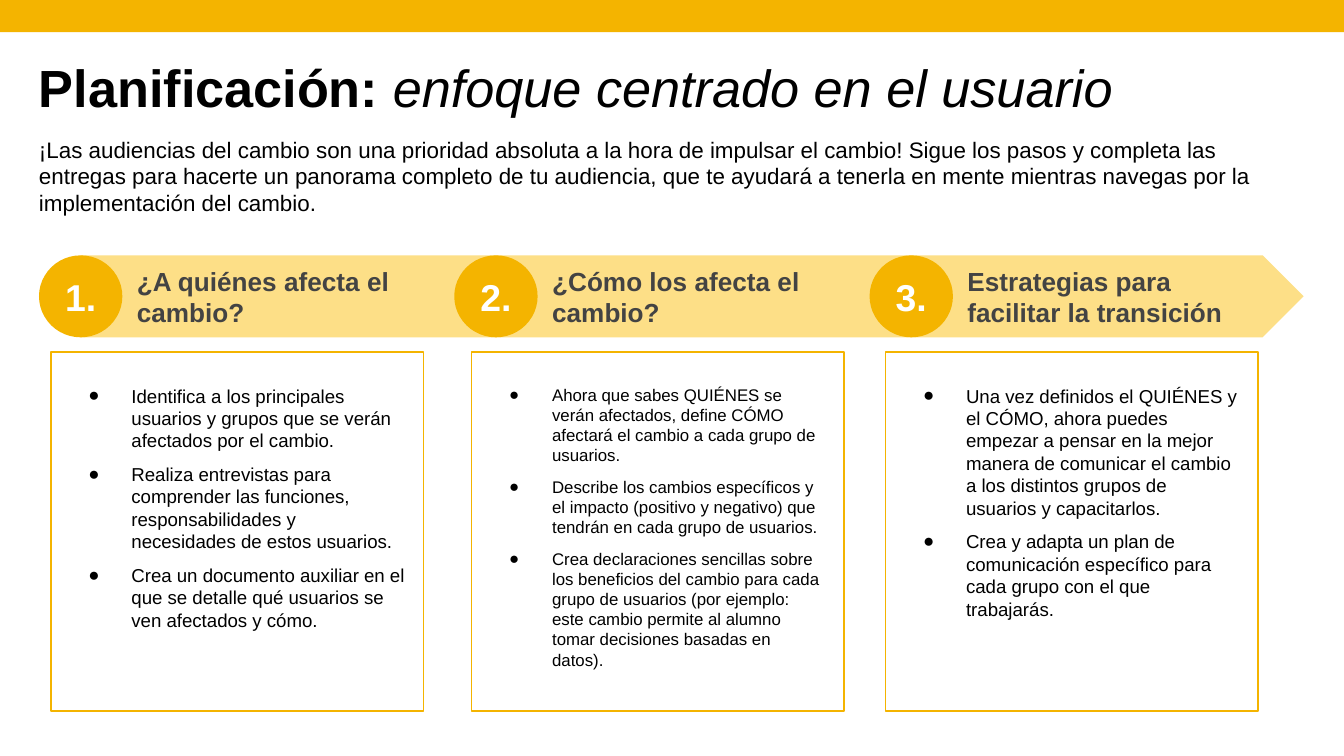
from lxml import etree
from pptx import Presentation
from pptx.dml.color import RGBColor
from pptx.enum.shapes import MSO_SHAPE
from pptx.enum.text import MSO_ANCHOR, MSO_AUTO_SIZE, PP_ALIGN
from pptx.oxml.ns import qn
from pptx.util import Inches, Pt

TOP, MIDDLE = MSO_ANCHOR.TOP, MSO_ANCHOR.MIDDLE
LEFT, CENTER = PP_ALIGN.LEFT, PP_ALIGN.CENTER
COLORS = {"amber": "F4B400", "pale": "FDDF87", "heading": "434343",
          "black": "000000", "white": "FFFFFF"}
FONT = "Arial"
MARGIN, CONTENT_WIDTH = 0.29, 9.41
BAND_TOP, BAND_HEIGHT = 1.9, 0.61
STEP_GAP = 3.09

# Heading, heading width, box left, text size, bullets
STEPS = [
    ("¿A quiénes afecta el cambio?", 2.27, 0.38, 10, [
        "Identifica a los principales usuarios y grupos que se verán afectados por el cambio.",
        "Realiza entrevistas para comprender las funciones, responsabilidades y "
        "necesidades de estos usuarios.",
        "Crea un documento auxiliar en el que se detalle qué usuarios se ven afectados y cómo.",
    ]),
    ("¿Cómo los afecta el cambio?", 2.35, 3.51, 9, [
        "Ahora que sabes QUIÉNES se verán afectados, define CÓMO afectará el cambio "
        "a cada grupo de usuarios.",
        "Describe los cambios específicos y el impacto (positivo y negativo) que "
        "tendrán en cada grupo de usuarios.",
        "Crea declaraciones sencillas sobre los beneficios del cambio para cada grupo "
        "de usuarios (por ejemplo: este cambio permite al alumno tomar decisiones "
        "basadas en datos).",
    ]),
    ("Estrategias para facilitar la transición", 2.2, 6.59, 10, [
        "Una vez definidos el QUIÉNES y el CÓMO, ahora puedes empezar a pensar en la "
        "mejor manera de comunicar el cambio a los distintos grupos de usuarios y "
        "capacitarlos.",
        "Crea y adapta un plan de comunicación específico para cada grupo con el que "
        "trabajarás.",
    ]),
]


def add_block(kind, left, top, width, height, fill=None, line=None):
    """Add a preset shape, or a text box when kind is None."""
    box = [Inches(value) for value in (left, top, width, height)]
    if kind is None:
        return slide.shapes.add_textbox(*box)
    shape = slide.shapes.add_shape(kind, *box)
    shape.shadow.inherit = False
    if fill:
        shape.fill.solid()
        shape.fill.fore_color.rgb = RGBColor.from_string(COLORS[fill])
    else:
        shape.fill.background()
    if line:
        shape.line.color.rgb = RGBColor.from_string(COLORS[line])
        shape.line.width = Pt(0.75)
    else:
        shape.line.fill.background()
    return shape


def write_text(shape, texts, size, color, bold=False, align=LEFT, anchor=TOP,
               insets=(0.1, 0.05, 0.1, 0.05), bullets=False):
    frame = shape.text_frame
    frame.word_wrap = True
    frame.vertical_anchor = anchor
    (frame.margin_left, frame.margin_top,
     frame.margin_right, frame.margin_bottom) = [Inches(inset) for inset in insets]
    for index, text in enumerate(texts):
        paragraph = frame.add_paragraph() if index else frame.paragraphs[0]
        paragraph.text = text
        paragraph.alignment = align
        if bullets:
            properties = paragraph._p.get_or_add_pPr()
            properties.set("marL", str(Inches(0.5)))
            properties.set("indent", str(Inches(-0.32)))
            bullet_color = etree.SubElement(properties, qn("a:buClr"))
            etree.SubElement(bullet_color, qn("a:srgbClr"), val=COLORS[color])
            etree.SubElement(properties, qn("a:buSzPts"), val=str(size * 100))
            etree.SubElement(properties, qn("a:buFont"), typeface=FONT)
            etree.SubElement(properties, qn("a:buChar"), char="●")
            if index:
                paragraph.space_before = Pt(6)
        paragraph.font.name = FONT
        paragraph.font.size = Pt(size)
        paragraph.font.bold = bold
        paragraph.font.color.rgb = RGBColor.from_string(COLORS[color])


presentation = Presentation()
presentation.slide_width = Inches(10)
presentation.slide_height = Inches(10) * 9 // 16
slide = presentation.slides.add_slide(presentation.slide_layouts[5])

title = slide.shapes.title
title.left, title.top = Inches(MARGIN), Inches(0.45)
title.width, title.height = Inches(CONTENT_WIDTH), Inches(0.45)
write_text(title, ["Planificación: "], 28, "black", insets=(0, 0.05, 0, 0))
title.text_frame.auto_size = MSO_AUTO_SIZE.NONE
paragraph = title.text_frame.paragraphs[0]
paragraph.line_spacing = 0.8
paragraph.runs[0].font.bold = True
emphasis = paragraph.add_run()
emphasis.text = "enfoque centrado en el usuario"
emphasis.font.italic = True

add_block(MSO_SHAPE.RECTANGLE, 0, 0, 10, 0.24, fill="amber")

intro = add_block(None, MARGIN, 1.01, CONTENT_WIDTH, 0.52)
write_text(intro, [
    "¡Las audiencias del cambio son una prioridad absoluta a la hora de impulsar el "
    "cambio! Sigue los pasos y completa las entregas para hacerte un panorama completo "
    "de tu audiencia, que te ayudará a tenerla en mente mientras navegas por la "
    "implementación del cambio."], 12, "black", insets=(0, 0, 0, 0))

add_block(MSO_SHAPE.PENTAGON, 0.6, BAND_TOP, 9.1, BAND_HEIGHT, fill="pale")

for index, (heading, heading_width, box_left, size, bullets) in enumerate(STEPS):
    step_left = MARGIN + index * STEP_GAP
    badge = add_block(MSO_SHAPE.OVAL, step_left, BAND_TOP, 0.62, BAND_HEIGHT, fill="amber")
    write_text(badge, [f"{index + 1}."], 20, "white", bold=True, align=CENTER,
               anchor=MIDDLE, insets=(0.1, 0.1, 0.1, 0.1))
    label = add_block(None, step_left + 0.63, 1.84, heading_width, 0.73)
    write_text(label, [heading], 14, "heading", bold=True, anchor=MIDDLE)
    box = add_block(MSO_SHAPE.RECTANGLE, box_left, 2.62, 2.77, 2.67, line="amber")
    write_text(box, bullets, size, "black", insets=(0.1, 0.24, 0.14, 0.05), bullets=True)

presentation.save("out.pptx")
